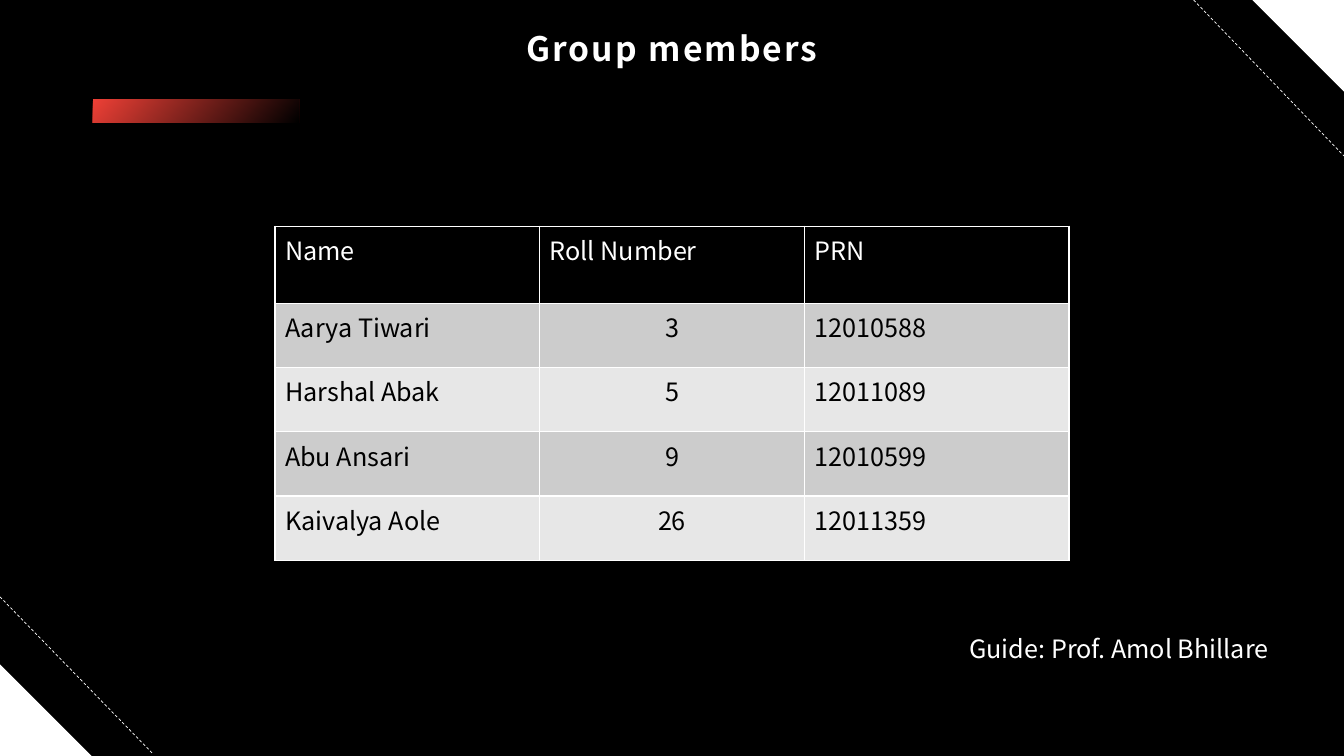
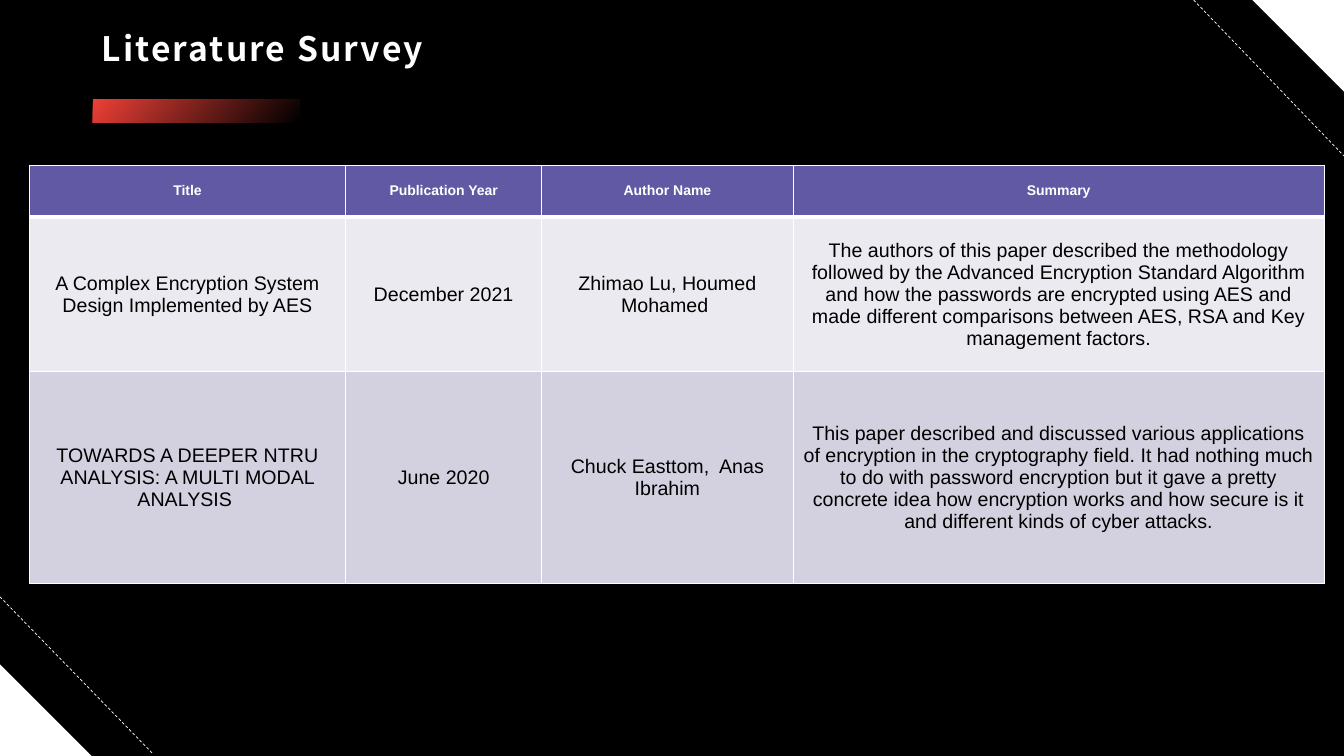
import pptx
import pptx.util
import pptx.dml.color
import pptx.enum.dml
import pptx.enum.shapes
import pptx.enum.text
import pptx.oxml
import pptx.oxml.ns
from dataclasses import dataclass

Cm = pptx.util.Cm
Pt = pptx.util.Pt
ALIGN = pptx.enum.text.PP_ALIGN
ANCHOR = pptx.enum.text.MSO_ANCHOR
SHAPE = pptx.enum.shapes.MSO_SHAPE

COLORS = {
    "black": "000000", "white": "FFFFFF", "red": "EE4036",
    "gray": "CCCCCC", "light gray": "E7E7E7",
    "purple": "6259A4", "pale": "EAEAF0", "lilac": "D3D1E0",
}
TITLE_FONT = "Noto Sans CJK TC"
BODY_FONT = "Noto Sans CJK JP"
PAGE_WIDTH, PAGE_HEIGHT = 33.87, 19.05
CORNER = 2.31


@dataclass
class TableStyle:
    font: str
    header_size: int
    body_size: int
    header_fill: str
    bands: tuple
    alignments: tuple
    header_bold: bool = False
    header_rule: int = 1
    anchor: ANCHOR = ANCHOR.TOP


MEMBERS_STYLE = TableStyle(
    BODY_FONT, 18, 18, "black", ("gray", "light gray"),
    (ALIGN.LEFT, ALIGN.CENTER, ALIGN.LEFT))
SURVEY_STYLE = TableStyle(
    "Arial", 10, 14, "purple", ("pale", "lilac"), (ALIGN.CENTER,) * 4,
    header_bold=True, header_rule=3, anchor=ANCHOR.MIDDLE)

MEMBERS = [
    ("Name", "Roll Number", "PRN"),
    ("Aarya Tiwari", "3", "12010588"),
    ("Harshal Abak", "5", "12011089"),
    ("Abu Ansari", "9", "12010599"),
    ("Kaivalya Aole", "26", "12011359"),
]
SURVEY = [
    ("Title", "Publication Year", "Author Name", "Summary"),
    ("A Complex Encryption System Design Implemented by AES",
     "December 2021",
     "Zhimao Lu, Houmed Mohamed ",
     "The authors of this paper described the methodology followed by the "
     "Advanced Encryption Standard Algorithm and how the passwords are "
     "encrypted using AES and made different comparisons between AES, RSA "
     "and Key management factors."),
    ("TOWARDS A DEEPER NTRU ANALYSIS: A MULTI MODAL ANALYSIS ",
     "June 2020",
     "Chuck Easttom,  Anas Ibrahim",
     "This paper described and discussed various applications of encryption "
     "in the cryptography field. It had nothing much to do with password "
     "encryption but it gave a pretty concrete idea how encryption works and "
     "how secure is it and different kinds of cyber attacks."),
]


def rgb(name):
    return pptx.dml.color.RGBColor.from_string(COLORS[name])


def format_text(paragraph, font, size, color, bold=False):
    for span in paragraph.runs:
        span.font.name = font
        span.font.size = Pt(size)
        span.font.bold = bold
        span.font.color.rgb = rgb(color)


def add_text(page, box, text, font, size, bold=False, wrap=True):
    """Place one white paragraph in box and return it."""
    frame = page.shapes.add_textbox(*map(Cm, box)).text_frame
    frame.word_wrap = wrap
    frame.vertical_anchor = ANCHOR.MIDDLE
    frame.text = text
    paragraph = frame.paragraphs[0]
    format_text(paragraph, font, size, "white", bold)
    return paragraph


def add_plain_shape(page, kind, box):
    shape = page.shapes.add_shape(kind, *map(Cm, box))
    shape.shadow.inherit = False
    shape.line.fill.background()
    return shape


def add_corners(page):
    # White triangles
    for left, top, turn in ((0, PAGE_HEIGHT - CORNER, 0),
                            (PAGE_WIDTH - CORNER, 0, 180)):
        triangle = add_plain_shape(page, SHAPE.RIGHT_TRIANGLE,
                                   (left, top, CORNER, CORNER))
        triangle.rotation = turn
        triangle.fill.solid()
        triangle.fill.fore_color.rgb = rgb("white")

    # Dashed diagonals
    for ends in ((0, 15.04, 3.86, 19), (30.08, 0, PAGE_WIDTH, 3.93)):
        diagonal = page.shapes.add_connector(
            pptx.enum.shapes.MSO_CONNECTOR.STRAIGHT, *map(Cm, ends))
        diagonal.line.color.rgb = rgb("white")
        diagonal.line.width = Pt(0.5)
        diagonal.line.dash_style = pptx.enum.dml.MSO_LINE.DASH
        pptx.oxml.ns.qn("a:effectLst")
        properties = diagonal._element.spPr
        properties.append(pptx.oxml.parse_xml(
            "<a:effectLst %s/>" % pptx.oxml.ns.nsdecls("a")))


def add_title(page, box, text, alignment):
    left, top, width, height = box
    # Fading accent bar under the title
    bar = add_plain_shape(page, SHAPE.RECTANGLE,
                          (left + 0.02, top + height + 0.42, 5.2, 0.6))
    bar.fill.gradient()
    bar.fill.gradient_angle = 320
    for stop, color in zip(bar.fill.gradient_stops, ("red", "black")):
        stop.color.rgb = rgb(color)

    paragraph = add_text(page, box, text, TITLE_FONT, 24, bold=True)
    paragraph.alignment = alignment
    paragraph.line_spacing = 0.9
    for span in paragraph.runs:
        span.font._element.set("spc", "150")


def set_borders(cell, top, bottom):
    """Draw white borders; widths in points, 1 at the sides."""
    properties = cell._tc.get_or_add_tcPr()
    widths = (("lnL", 1), ("lnR", 1), ("lnT", top), ("lnB", bottom))
    for position, (side, width) in enumerate(widths):
        properties.insert(position, pptx.oxml.parse_xml(
            '<a:%s %s w="%d"><a:solidFill><a:srgbClr val="%s"/></a:solidFill>'
            "</a:%s>" % (side, pptx.oxml.ns.nsdecls("a"), Pt(width),
                         COLORS["white"], side)))


def add_grid(page, origin, widths, heights, rows, style):
    box = (*origin, sum(widths), sum(heights))
    table = page.shapes.add_table(len(rows), len(widths), *map(Cm, box)).table
    table.first_row = table.horz_banding = False
    for column, width in zip(table.columns, widths):
        column.width = Cm(width)
    for row, height in zip(table.rows, heights):
        row.height = Cm(height)

    for r, texts in enumerate(rows):
        header = r == 0
        fill = style.header_fill if header else style.bands[(r - 1) % 2]
        for c, text in enumerate(texts):
            cell = table.cell(r, c)
            cell.text_frame.text = text
            cell.vertical_anchor = style.anchor
            cell.fill.solid()
            cell.fill.fore_color.rgb = rgb(fill)
            set_borders(cell, style.header_rule if r == 1 else 1,
                        style.header_rule if header else 1)
            paragraph = cell.text_frame.paragraphs[0]
            paragraph.alignment = ALIGN.LEFT if header else style.alignments[c]
            if header and style.anchor == ANCHOR.MIDDLE:
                paragraph.alignment = ALIGN.CENTER
            format_text(paragraph, style.font,
                        style.header_size if header else style.body_size,
                        "white" if header else "black",
                        header and style.header_bold)


def add_page(deck, title, alignment=ALIGN.LEFT):
    page = deck.slides.add_slide(deck.slide_layouts[6])
    page.background.fill.solid()
    page.background.fill.fore_color.rgb = rgb("black")
    add_corners(page)
    add_title(page, (2.32, 0.45, 29.23, 1.63), title, alignment)
    return page


def add_members_page(deck):
    page = add_page(deck, "Group members", ALIGN.CENTER)
    add_grid(page, (6.93, 5.7), [6.67] * 3, [1.94] + [1.62] * 4,
             MEMBERS, MEMBERS_STYLE)
    add_text(page, (24.18, 15.82, 8.58, 1.03), "Guide: Prof. Amol Bhillare",
             BODY_FONT, 18, wrap=False)


def add_survey_page(deck):
    page = add_page(deck, "Literature Survey")
    add_grid(page, (0.74, 4.17), [7.97, 4.94, 6.34, 13.38],
             [1.29, 3.91, 5.33], SURVEY, SURVEY_STYLE)


def main():
    deck = pptx.Presentation()
    deck.slide_width = Cm(PAGE_WIDTH)
    deck.slide_height = Cm(PAGE_HEIGHT)
    add_members_page(deck)
    add_survey_page(deck)
    deck.save("out.pptx")


if __name__ == "__main__":
    main()
